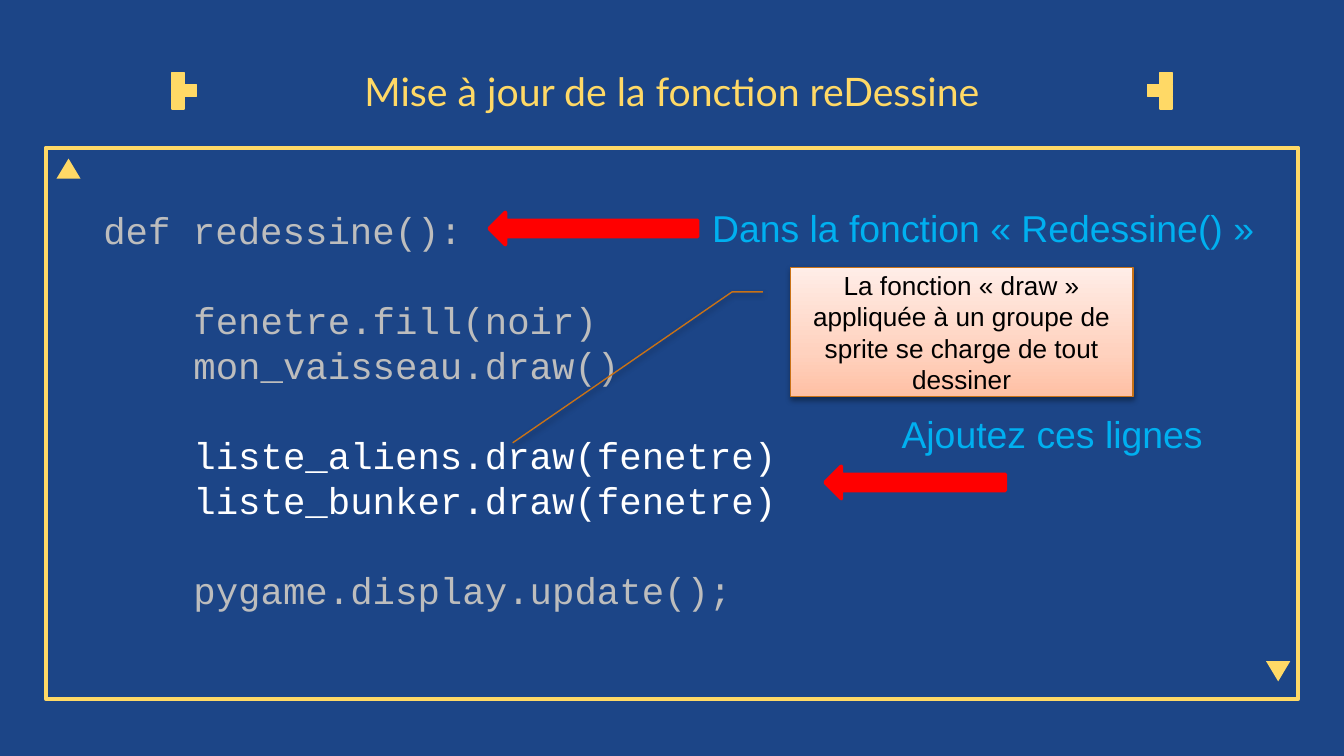
import dataclasses

import pptx
import pptx.dml.color
import pptx.enum.shapes
import pptx.enum.text
import pptx.oxml
import pptx.oxml.ns
import pptx.util
from pptx.util import Inches

SHAPE = pptx.enum.shapes.MSO_SHAPE
ALIGN = pptx.enum.text.PP_ALIGN
ANCHOR = pptx.enum.text.MSO_ANCHOR
Pt = pptx.util.Pt


@dataclasses.dataclass(frozen=True)
class Theme:
    background: str = "1C4587"
    gold: str = "FFD966"
    faded: str = "BDBDBD"
    added: str = "FFFFFF"
    hint: str = "00B0F0"
    arrow: str = "FF0000"
    callout_line: str = "C97216"
    callout_text: str = "000000"
    callout_stops: tuple = ((0, "FFC0A4"), (35, "FFD2BF"), (100, "FFEDE7"))
    title_font: str = "Lato"
    code_font: str = "Courier New"
    note_font: str = "Arial"
    title_size: int = 21
    body_size: int = 20
    callout_size: int = 14
    code_pitch: float = 24.1


def rgb(value):
    return pptx.dml.color.RGBColor.from_string(value)


def drawing_xml(text):
    return pptx.oxml.parse_xml(text.replace(" ", f" {pptx.oxml.ns.nsdecls('a')} ", 1))


class Painter:
    def __init__(self, page, theme):
        self.page = page
        self.theme = theme
        page.background.fill.solid()
        page.background.fill.fore_color.rgb = rgb(theme.background)

    def shape(self, kind, left, top, width, height, fill=None, line=None, weight=0.75, turn=0):
        box = self.page.shapes.add_shape(
            kind, Inches(left), Inches(top), Inches(width), Inches(height))
        box.shadow.inherit = False
        box.rotation = turn
        if fill:
            box.fill.solid()
            box.fill.fore_color.rgb = rgb(fill)
        else:
            box.fill.background()
        if line:
            box.line.color.rgb = rgb(line)
            box.line.width = Pt(weight)
        else:
            box.line.fill.background()
        return box

    def span(self, para, text, font, size, color):
        span = para.add_run()
        span.text = text
        span.font.name = font
        span.font.size = Pt(size)
        span.font.color.rgb = rgb(color)

    def text_box(self, left, top, width, height, wrap=True):
        box = self.page.shapes.add_textbox(
            Inches(left), Inches(top), Inches(width), Inches(height))
        box.text_frame.word_wrap = wrap
        return box.text_frame

    def title(self, text, left, top, width, height):
        frame = self.text_box(left, top, width, height)
        frame.vertical_anchor = ANCHOR.BOTTOM
        frame.margin_top = frame.margin_bottom = Inches(0.1)
        frame.paragraphs[0].alignment = ALIGN.CENTER
        self.span(frame.paragraphs[0], text,
                  self.theme.title_font, self.theme.title_size, self.theme.gold)

    def code(self, lines, left, top, width, height):
        """Each line is (text, colour, indented, gap above)."""
        frame = self.text_box(left, top, width, height)
        frame.margin_top = Inches(0.36)
        for number, (text, color, indented, gap) in enumerate(lines):
            para = frame.paragraphs[0] if number == 0 else frame.add_paragraph()
            para.line_spacing = Pt(self.theme.code_pitch)
            para.space_before = Pt(self.theme.code_pitch if gap else 0)
            if indented:
                para._p.get_or_add_pPr().set("marL", str(Inches(0.67)))
            self.span(para, text, self.theme.code_font, self.theme.body_size, color)

    def hint(self, text, left, top, width):
        frame = self.text_box(left, top, width, 0.44, wrap=False)
        frame.auto_size = pptx.enum.text.MSO_AUTO_SIZE.SHAPE_TO_FIT_TEXT
        self.span(frame.paragraphs[0], text,
                  self.theme.note_font, self.theme.body_size, self.theme.hint)

    def arrow(self, left, top, width):
        self.shape(SHAPE.RIGHT_ARROW, left, top, width, 0.24,
                   self.theme.arrow, self.theme.arrow, 2, turn=180)

    def corner(self, left, top, turn=0):
        self.shape(SHAPE.ISOSCELES_TRIANGLE, left, top, 0.18, 0.15, self.theme.gold, turn=turn)

    def bracket(self, left, top, mirrored=False):
        side = 0.09
        for column, row in ((0, 0), (0, 1), (0, 2), (1, 1)):
            x = left + (-column if mirrored else column) * side
            self.shape(SHAPE.RECTANGLE, x, top + row * side, side, side,
                       self.theme.gold, self.theme.gold)

    def callout(self, text, left, top, width, height, leader):
        box = self.shape(SHAPE.LINE_CALLOUT_2, left, top, width, height,
                         line=self.theme.callout_line)
        for number, value in enumerate(leader):
            box.adjustments[number] = value
        # Three-stop gradient, from the bottom up
        box.fill.gradient()
        box.fill.gradient_angle = 90
        properties = box._element.spPr
        stops = properties.find(".//" + pptx.oxml.ns.qn("a:gsLst"))
        for stop in list(stops):
            stops.remove(stop)
        for place, color in self.theme.callout_stops:
            stops.append(drawing_xml(
                f'<a:gs pos="{place * 1000}"><a:srgbClr val="{color}"/></a:gs>'))
        # Soft shadow below
        properties.find(pptx.oxml.ns.qn("a:effectLst")).append(drawing_xml(
            f'<a:outerShdw blurRad="{Pt(3.1)}" dist="{Pt(1.6)}" dir="5400000" rotWithShape="0">'
            '<a:srgbClr val="000000"><a:alpha val="38000"/></a:srgbClr></a:outerShdw>'))
        frame = box.text_frame
        frame.word_wrap = True
        frame.vertical_anchor = ANCHOR.MIDDLE
        frame.paragraphs[0].alignment = ALIGN.CENTER
        self.span(frame.paragraphs[0], text, self.theme.note_font,
                  self.theme.callout_size, self.theme.callout_text)


def main():
    deck = pptx.Presentation()
    deck.slide_width = Inches(10)
    deck.slide_height = Inches(10) * 9 // 16
    theme = Theme()
    painter = Painter(deck.slides.add_slide(deck.slide_layouts[6]), theme)

    # Frame and title
    painter.shape(SHAPE.RECTANGLE, 0.34, 1.1, 9.32, 4.1, line=theme.gold, weight=2.25)
    painter.title("Mise à jour de la fonction reDessine", 0.34, 0.32, 9.32, 0.63)

    # Code listing
    painter.code([
        ("def redessine():", theme.faded, False, False),
        ("fenetre.fill(noir)", theme.faded, True, True),
        ("mon_vaisseau.draw()", theme.faded, True, False),
        ("liste_aliens.draw(fenetre)", theme.added, True, True),
        ("liste_bunker.draw(fenetre)", theme.added, True, False),
        ("pygame.display.update();", theme.faded, True, True),
    ], 0.67, 1.18, 8.71, 3.88)

    # Ornaments
    painter.bracket(1.28, 0.54)
    painter.bracket(8.63, 0.54, mirrored=True)
    painter.corner(0.42, 1.18)
    painter.corner(9.42, 4.92, turn=180)

    # Hints and their arrows
    painter.arrow(6.14, 3.47, 1.34)
    painter.hint("Ajoutez ces lignes", 6.61, 3.01, 2.46)
    painter.arrow(3.64, 1.58, 1.55)
    painter.hint("Dans la fonction « Redessine() »", 5.2, 1.48, 4.27)

    # Explanation
    painter.callout(
        "La fonction « draw » appliquée à un groupe de sprite se charge de tout dessiner",
        5.88, 1.99, 2.55, 0.96, (0.19, -0.08, 0.19, -0.17, 1.36, -0.81))

    deck.save("out.pptx")


if __name__ == "__main__":
    main()
